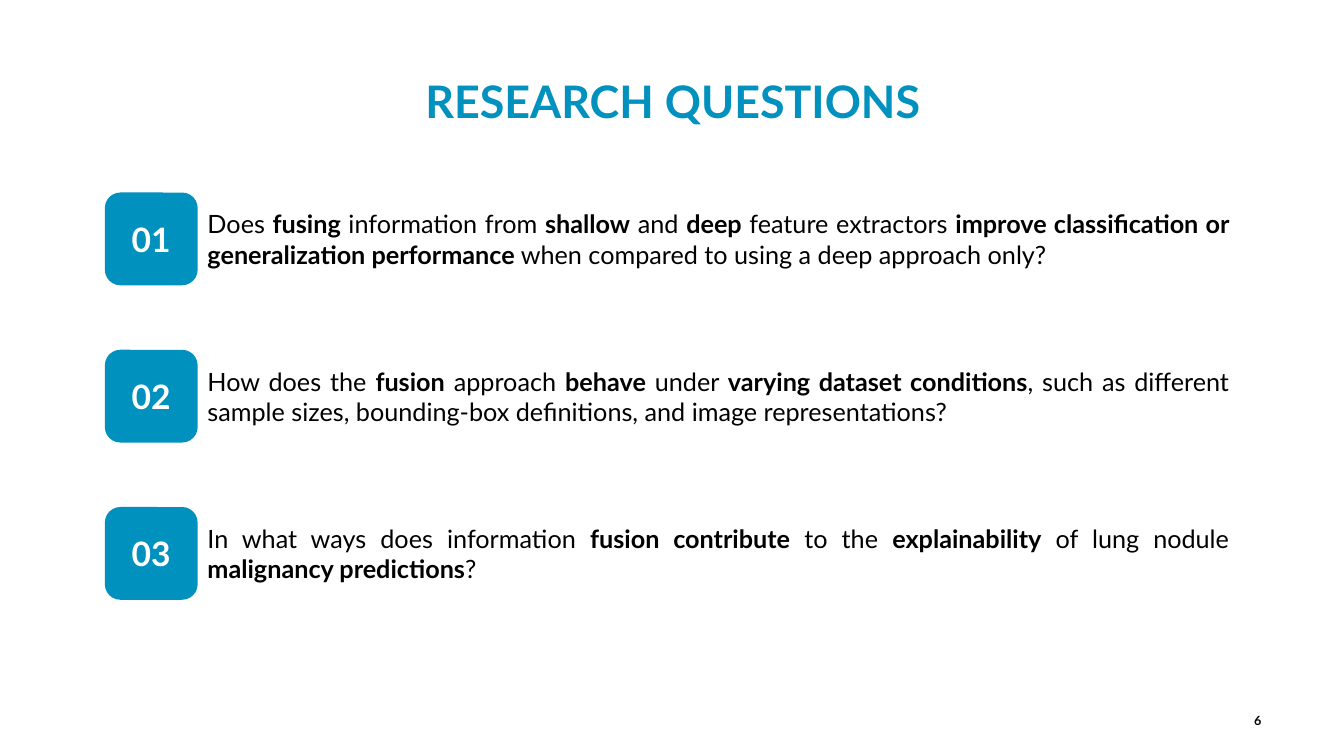
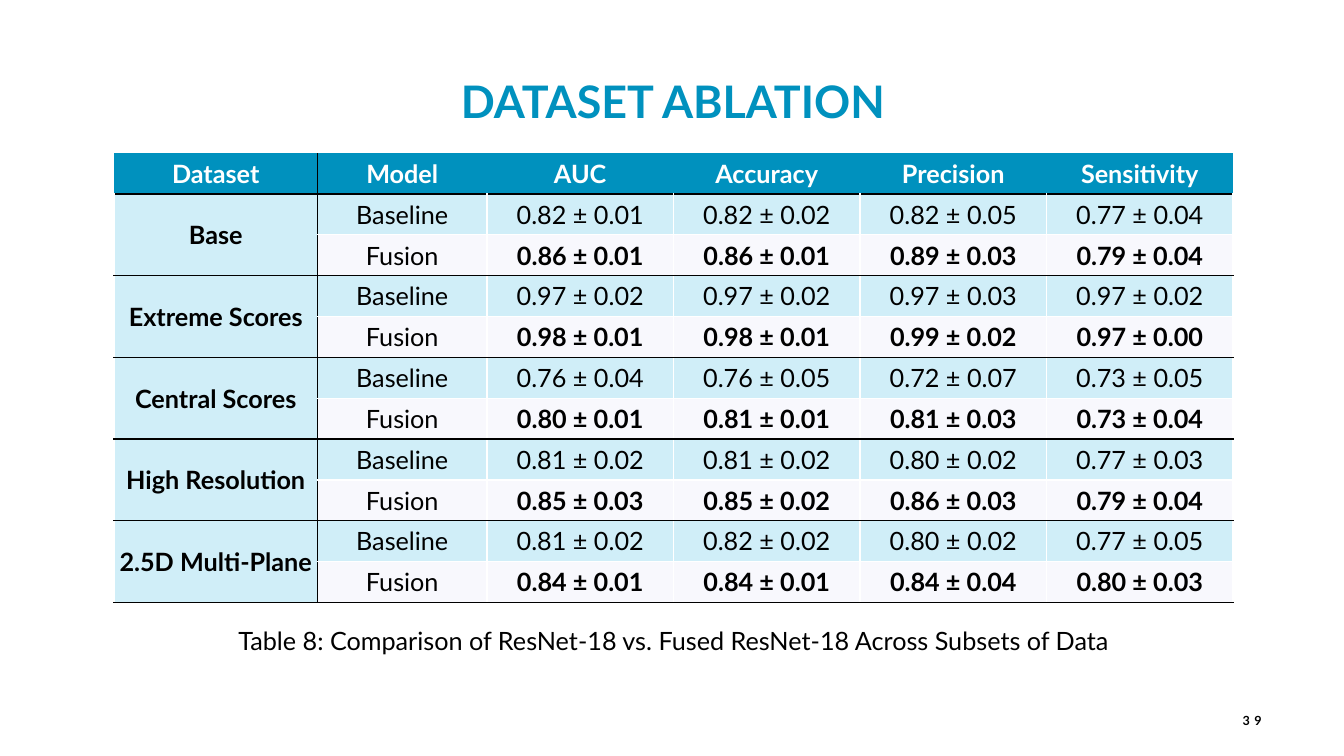
from lxml.etree import SubElement
from pptx import Presentation
from pptx.dml.color import RGBColor
from pptx.enum.shapes import MSO_SHAPE as Shape
from pptx.enum.text import MSO_ANCHOR as Anchor, PP_ALIGN as Align
from pptx.oxml.ns import qn
from pptx.util import Inches, Pt

FONT = "Lato"
BLUE, BLACK, WHITE = "0091BE", "000000", "FFFFFF"
SKY, PALE = "64C8EB", "E8EBFB"
TILE, TILE_TOP, TILE_STEP = 0.92, 1.91, 1.56
WIDTHS = [2.02, 1.68] + [1.85] * 4

QUESTIONS = [
    "Does **fusing** information from **shallow** and **deep** feature extractors "
    "**improve classification or generalization performance** when compared to "
    "using a deep approach only?",
    "How does the **fusion** approach **behave** under **varying dataset conditions**, "
    "such as different sample sizes, bounding‐box definitions, and image representations?",
    "In what ways does information **fusion contribute** to the **explainability** "
    "of lung nodule **malignancy predictions**?",
]
HEADS = ["Dataset", "Model", "AUC", "Accuracy", "Precision", "Sensitivity"]
SCORES = [
    ("Base", "0.82 ± 0.01|0.82 ± 0.02|0.82 ± 0.05|0.77 ± 0.04",
     "0.86 ± 0.01|0.86 ± 0.01|0.89 ± 0.03|0.79 ± 0.04"),
    ("Extreme Scores", "0.97 ± 0.02|0.97 ± 0.02|0.97 ± 0.03|0.97 ± 0.02",
     "0.98 ± 0.01|0.98 ± 0.01|0.99 ± 0.02|0.97 ± 0.00"),
    ("Central Scores", "0.76 ± 0.04|0.76 ± 0.05|0.72 ± 0.07|0.73 ± 0.05",
     "0.80 ± 0.01|0.81 ± 0.01|0.81 ± 0.03|0.73 ± 0.04"),
    ("High Resolution", "0.81 ± 0.02|0.81 ± 0.02|0.80 ± 0.02|0.77 ± 0.03",
     "0.85 ± 0.03|0.85 ± 0.02|0.86 ± 0.03|0.79 ± 0.04"),
    ("2.5D Multi-Plane", "0.81 ± 0.02|0.82 ± 0.02|0.80 ± 0.02|0.77 ± 0.05",
     "0.84 ± 0.01|0.84 ± 0.01|0.84 ± 0.04|0.80 ± 0.03"),
]


def paint(part, color):
    """Give a fill or a font a solid hex colour."""
    if hasattr(part, "solid"):
        part.solid()
        part.fore_color.rgb = RGBColor.from_string(color)
    else:
        part.color.rgb = RGBColor.from_string(color)


def write(frame, text, size=18, color=BLACK, bold=False, align=Align.CENTER):
    """Write one paragraph, with **bold** parts, and return it."""
    para = frame.paragraphs[0]
    para.alignment = align
    para.font.name, para.font.size, para.font.bold = FONT, Pt(size), bold
    paint(para.font, color)
    for i, part in enumerate(text.split("**")):
        if part:
            run = para.add_run()
            run.text = part
            if i % 2:
                run.font.bold = True
    return para


def add_text(slide, box, text, anchor=Anchor.TOP, **style):
    """Add a wrapped text box and return its paragraph."""
    frame = slide.shapes.add_textbox(*map(Inches, box)).text_frame
    frame.word_wrap = True
    frame.vertical_anchor = anchor
    return write(frame, text, **style)


def add_slide(deck, title, number):
    """Add a slide with its title and page number."""
    slide = deck.slides.add_slide(deck.slide_layouts[5])
    head = slide.shapes.title
    head.left, head.top, head.width, head.height = map(Inches, (0, 0.68, 13.35, 0.64))
    head.text_frame.vertical_anchor = Anchor.TOP
    write(head.text_frame, title, 32, BLUE, True)
    para = add_text(slide, (11.82, 6.95, 0.79, 0.4), number, Anchor.MIDDLE,
                    size=9, bold=True, align=Align.RIGHT)
    para.runs[0].font.size = Pt(9)
    para.runs[0]._r.get_or_add_rPr().set("spc", "300")
    return slide


def add_item(slide, index, text):
    """Add a numbered tile with its question."""
    top = TILE_TOP + index * TILE_STEP
    box = map(Inches, (1.04, top, TILE, TILE))
    tile = slide.shapes.add_shape(Shape.ROUNDED_RECTANGLE, *box)
    tile.shadow.inherit = False
    paint(tile.fill, BLUE)
    tile.line.fill.background()
    tile.text_frame.vertical_anchor = Anchor.MIDDLE
    write(tile.text_frame, f"{index + 1:02}", 24, WHITE, True)
    add_text(slide, (1.96, top + 0.11, 10.33, 0.71), text, align=Align.JUSTIFY)


def add_edge(cell, side, color):
    """Draw one cell border, or none without a colour."""
    line = SubElement(cell._tc.get_or_add_tcPr(), qn(f"a:ln{side}"), w="12700")
    if color:
        fill = SubElement(line, qn("a:solidFill"))
        SubElement(fill, qn("a:srgbClr"), val=color)
    else:
        SubElement(line, qn("a:noFill"))


def get_edges(row, col):
    """Work out the left, right, top and bottom border colours."""
    plain = WHITE if row else None
    return {
        "L": BLACK if col == 1 else plain,
        "R": BLACK if col == 0 else plain,
        "T": BLACK if row and (row % 2 or col == 0) else plain,
        "B": BLACK if row % 2 == 0 or col == 0 else plain,
    }


def style_cell(cell, row, col):
    """Set the borders, fill and margins of a cell."""
    for side, color in get_edges(row, col).items():
        add_edge(cell, side, color)
    paint(cell.fill, BLUE if row == 0 else SKY if row % 2 or col == 0 else PALE)
    if row:
        tone = cell._tc.tcPr.find(qn("a:solidFill"))[0]
        SubElement(tone, qn("a:alpha"), val="30000")
    cell.vertical_anchor = Anchor.MIDDLE
    cell.margin_left = cell.margin_right = Inches(0.03)
    cell.margin_top = cell.margin_bottom = Inches(0.02)


def add_scores(slide):
    """Add the table of scores, two rows to a dataset."""
    rows = [HEADS]
    for name, base, fused in SCORES:
        rows.append([name, "Baseline", *base.split("|")])
        rows.append(["", "Fusion", *fused.split("|")])
    box = map(Inches, (1.13, 1.52, sum(WIDTHS), 4.46))
    table = slide.shapes.add_table(len(rows), len(HEADS), *box).table
    for col, width in enumerate(WIDTHS):
        table.columns[col].width = Inches(width)
    for row, texts in enumerate(rows):
        for col, text in enumerate(texts):
            cell = table.cell(row, col)
            style_cell(cell, row, col)
            bold = row == 0 or col == 0 or (row % 2 == 0 and col > 1)
            write(cell.text_frame, text, color=BLACK if row else WHITE, bold=bold)
    for row in range(1, len(rows), 2):
        table.cell(row, 0).merge(table.cell(row + 1, 0))


def main():
    """Build and save the slides."""
    deck = Presentation()
    deck.slide_width, deck.slide_height = Inches(13.33), Inches(7.5)
    slide = add_slide(deck, "RESEARCH QUESTIONS", "6")
    for index, text in enumerate(QUESTIONS):
        add_item(slide, index, text)
    slide = add_slide(deck, "DATASET ABLATION", "39")
    add_scores(slide)
    add_text(slide, (1.13, 6.15, 11.1, 0.4),
             "Table 8: Comparison of ResNet-18 vs. Fused ResNet-18 Across Subsets of Data")
    deck.save("out.pptx")


if __name__ == "__main__":
    main()
